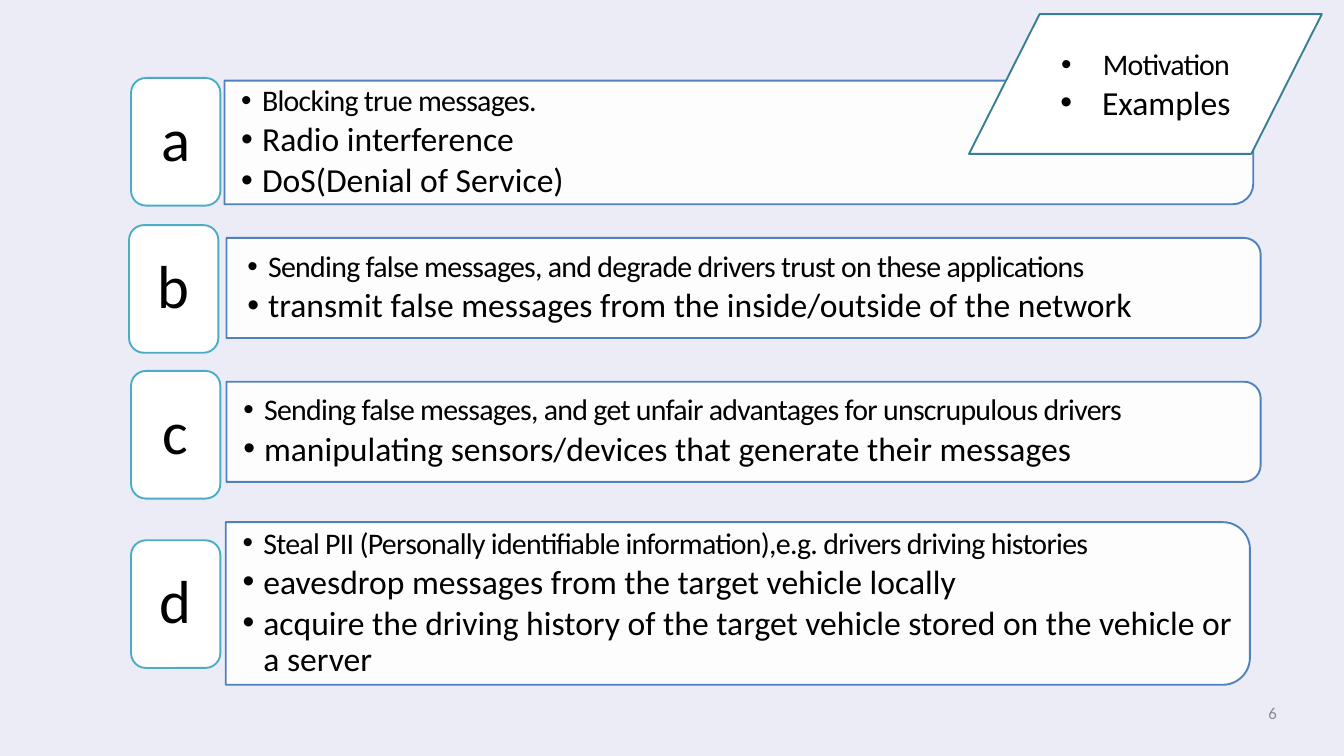
from lxml.etree import SubElement
from pptx import Presentation
from pptx.dml.color import RGBColor
from pptx.enum.shapes import MSO_SHAPE as Shape
from pptx.enum.text import MSO_ANCHOR as Anchor, PP_ALIGN as Align
from pptx.oxml.ns import qn
from pptx.util import Inches, Pt

COLORS = {
    "background": "ECECF7",
    "surface": "FFFFFF",
    "text": "000000",
    "tile_line": "4BACC6",
    "panel_line": "4F81BD",
    "tag_line": "377F92",
    "number": "8C8C8C",
}
FONT = "Calibri"
SLIDE_COLUMNS, SLIDE_ROWS = 20, 11.25  # grid cells one inch square
TILE_WIDTH, TILE_HEIGHT = 1.33, 1.9

# letter, tile (left, top), panel (left, top, width, height), left inset, lines
ATTACKS = [
    ("a", (1.95, 1.16), (3.34, 1.2, 15.31, 1.84), 0.25, [
        "Blocking true messages.",
        "Radio interference",
        "DoS(Denial of Service)"]),
    ("b", (1.92, 3.35), (3.37, 3.54, 15.39, 1.49), 0.31, [
        "Sending false messages, and degrade drivers trust on these applications",
        "transmit false messages from the inside/outside of the network"]),
    ("c", (1.95, 5.52), (3.37, 5.68, 15.39, 1.49), 0.25, [
        "Sending false messages, and get unfair advantages for unscrupulous drivers",
        "manipulating sensors/devices that generate their messages"]),
    ("d", (1.95, 8.04), (3.36, 7.77, 15.24, 2.42), 0.25, [
        "Steal PII (Personally identifiable information),e.g. drivers driving histories",
        "eavesdrop messages from the target vehicle locally",
        "acquire the driving history of the target vehicle stored on the vehicle or a server"]),
]


def color(name):
    return RGBColor.from_string(COLORS[name])


def cells(*counts):
    return [Inches(count) for count in counts]


def add_box(slide, kind, box, line):
    shape = slide.shapes.add_shape(kind, *cells(*box))
    shape.shadow.inherit = False
    shape.fill.solid()
    shape.fill.fore_color.rgb = color("surface")
    shape.line.color.rgb = color(line)
    shape.line.width = Pt(2)
    return shape


def set_frame(frame, anchor, left, other):
    frame.word_wrap = True
    frame.vertical_anchor = anchor
    frame.margin_left = Inches(left)
    frame.margin_top = frame.margin_right = frame.margin_bottom = Inches(other)


def add_run(paragraph, text, size, name="text"):
    run = paragraph.add_run()
    run.text = text
    run.font.name = FONT
    run.font.size = Pt(size)
    run.font.color.rgb = color(name)
    return run


def set_bullet(paragraph, indent):
    properties = paragraph._p.get_or_add_pPr()
    properties.set("marL", str(Inches(indent)))
    properties.set("indent", str(-Inches(indent)))
    SubElement(properties, qn("a:buFont")).set("typeface", "Arial")
    SubElement(properties, qn("a:buChar")).set("char", "•")


def add_bullets(frame, lines, indent, **format_values):
    """Write a tightly spaced heading line followed by larger lines."""
    for index, line in enumerate(lines):
        paragraph = frame.paragraphs[0] if index == 0 else frame.add_paragraph()
        for name, value in format_values.items():
            setattr(paragraph, name, value)
        set_bullet(paragraph, indent)
        run = add_run(paragraph, line, 36 if index else 32)
        if index == 0:
            run._r.get_or_add_rPr().set("spc", "-80")


def add_tile(slide, box, letter):
    tile = add_box(slide, Shape.ROUNDED_RECTANGLE, box, "tile_line")
    set_frame(tile.text_frame, Anchor.MIDDLE, 0.05, 0.05)
    paragraph = tile.text_frame.paragraphs[0]
    paragraph.alignment = Align.CENTER
    paragraph.line_spacing = 0.9
    add_run(paragraph, letter, 65)


def add_panel(slide, box, inset, lines):
    """Draw a panel rounded on its right side, with level text over it."""
    left, top, width, height = box
    turn = (width - height) / 2
    panel = add_box(slide, Shape.ROUND_2_SAME_RECTANGLE,
                    (left + turn, top - turn, height, width), "panel_line")
    panel.rotation = 90
    fill_color = panel.fill._xPr.find(qn("a:solidFill"))[0]
    SubElement(fill_color, qn("a:alpha")).set("val", "90000")

    corner = 0.05 * height
    text_box = slide.shapes.add_textbox(
        *cells(left, top + corner, width - corner, height - 2 * corner))
    set_frame(text_box.text_frame, Anchor.MIDDLE, inset, 0.02)
    add_bullets(text_box.text_frame, lines, 0.31,
                level=1, line_spacing=0.9, space_after=Pt(5))


def add_tag(slide, box, lines):
    tag = add_box(slide, Shape.FLOWCHART_DATA, box, "tag_line")
    set_frame(tag.text_frame, Anchor.MIDDLE, 0.1, 0.05)
    tag.text_frame.margin_right = Inches(0.1)
    add_bullets(tag.text_frame, lines, 0.62, alignment=Align.CENTER)


def add_slide_number(slide, box, number):
    text_box = slide.shapes.add_textbox(*cells(*box))
    set_frame(text_box.text_frame, Anchor.TOP, 0, 0)
    paragraph = text_box.text_frame.paragraphs[0]
    paragraph.alignment = Align.RIGHT
    add_run(paragraph, number, 18, "number")


def main():
    presentation = Presentation()
    presentation.slide_width, presentation.slide_height = cells(SLIDE_COLUMNS, SLIDE_ROWS)
    slide = presentation.slides.add_slide(presentation.slide_layouts[6])
    slide.background.fill.solid()
    slide.background.fill.fore_color.rgb = color("background")

    for letter, corner, panel, inset, lines in ATTACKS:
        add_tile(slide, (*corner, TILE_WIDTH, TILE_HEIGHT), letter)
        add_panel(slide, panel, inset, lines)
    add_slide_number(slide, (14.4, 10.46, 4.6, 0.56), "6")
    add_tag(slide, (14.42, 0.21, 5.25, 2.08), ["Motivation", "Examples"])
    presentation.save("out.pptx")


if __name__ == "__main__":
    main()
